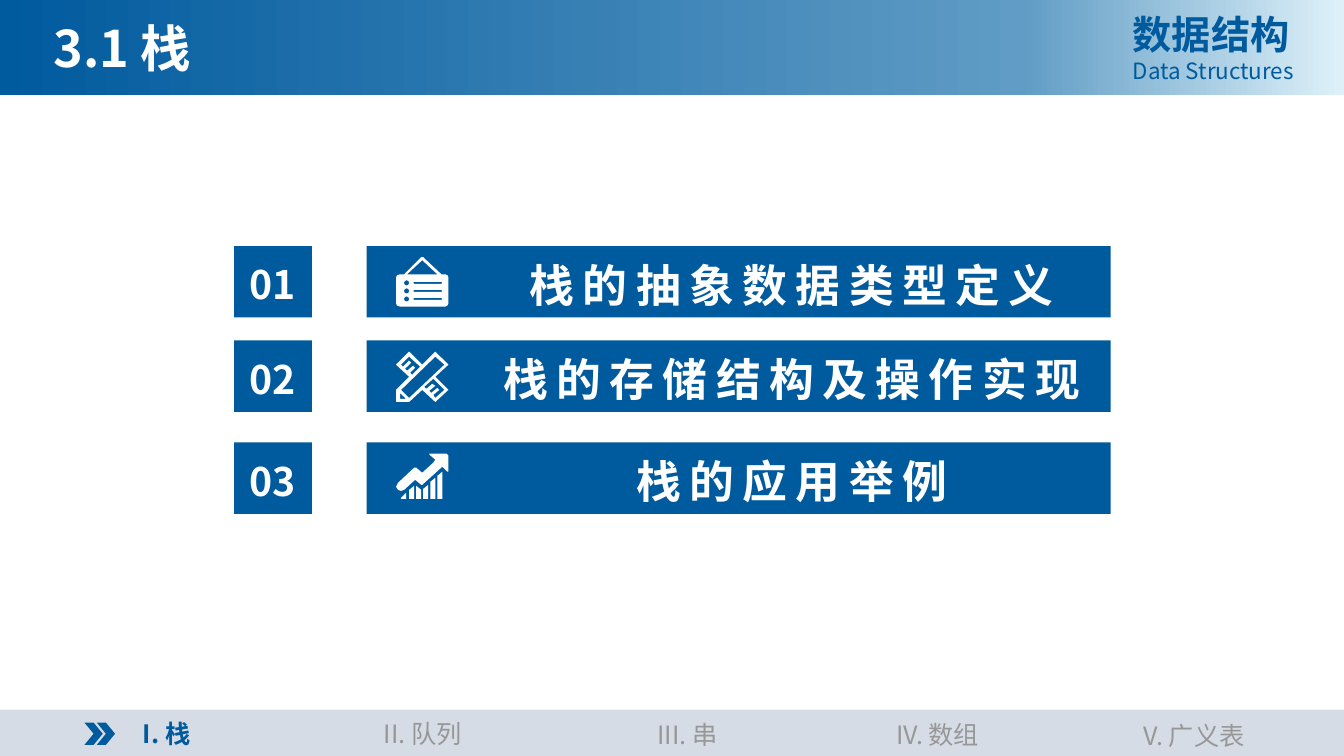
"""Builds the section slide on stacks for a data structures course."""
from copy import deepcopy
from dataclasses import dataclass
from math import cos, pi, sin

from lxml.etree import SubElement
from pptx import Presentation
from pptx.dml.color import RGBColor
from pptx.enum.shapes import MSO_SHAPE as Kind
from pptx.enum.text import MSO_ANCHOR as Anchor, MSO_AUTO_SIZE as Fit, PP_ALIGN as Align
from pptx.oxml.ns import qn
from pptx.util import Cm, Pt


@dataclass(frozen=True)
class Theme:
    font: str = "Noto Sans CJK SC"
    blue: str = "005A9E"
    mid: str = "609CC5"
    pale: str = "DEF1F9"
    bar: str = "D6DCE5"
    grey: str = "979797"
    white: str = "FFFFFF"
    title: int = 36
    item: int = 32
    head: int = 28
    tab: int = 18
    small: int = 16


theme = Theme()


def write(box, lines, color, align, spacing=0):
    """Fill a text box with (text, size, bold) lines."""
    frame = box.text_frame
    frame.word_wrap = True
    frame.auto_size = Fit.SHAPE_TO_FIT_TEXT
    frame.vertical_anchor = Anchor.TOP
    frame.text = "\n".join(text for text, _, _ in lines)
    for para, (_, size, bold) in zip(frame.paragraphs, lines):
        para.alignment = align
        run = para.runs[0]
        run.font.size = Pt(size)
        run.font.bold = bold
        run.font.color.rgb = RGBColor.from_string(color)
        run.font.name = theme.font
        props = run._r.get_or_add_rPr()
        SubElement(props, qn("a:ea")).set("typeface", theme.font)
        if spacing:
            props.set("spc", str(spacing * 100))


def block(shapes, kind, left, top, width, height, color):
    """Add a plain filled shape, measured in centimetres."""
    shape = shapes.add_shape(kind, Cm(left), Cm(top), Cm(width), Cm(height))
    shape.shadow.inherit = False
    shape.fill.solid()
    shape.fill.fore_color.rgb = RGBColor.from_string(color)
    shape.line.fill.background()
    return shape


deck = Presentation()
deck.slide_width, deck.slide_height = Cm(33.87), Cm(19.05)
slide = deck.slides.add_slide(deck.slide_layouts[5])
shapes = slide.shapes

banner = block(shapes, Kind.RECTANGLE, 0, 0, 33.87, 2.39, theme.blue)
banner.fill.gradient()
banner.fill.gradient_angle = 0
stops = banner.fill._fill._gradFill.find(qn("a:gsLst"))
stops.append(deepcopy(stops[-1]))
shades = [(0, theme.blue), (0.76, theme.mid), (1, theme.pale)]
for stop, (place, shade) in zip(banner.fill.gradient_stops, shades):
    stop.position = place
    stop.color.rgb = RGBColor.from_string(shade)

title = shapes.title
title.left, title.top, title.width, title.height = Cm(1.09), Cm(0.3), Cm(8.3), Cm(1.8)
write(title, [("3.1 栈", theme.title, True)], theme.white, Align.LEFT)
banner._element.addnext(title._element)

course = shapes.add_textbox(Cm(28.3), Cm(0.13), Cm(4.85), Cm(2.13))
write(course, [("数据结构", theme.head, True), ("Data Structures", theme.small, False)],
      theme.blue, Align.JUSTIFY)

block(shapes, Kind.RECTANGLE, 0, 17.88, 33.87, 1.17, theme.bar)
tabs = [("I. 栈", 2.13, 17.98, 4.14), ("II. 队列", 7.82, 17.98, 5.66),
        ("III. 串", 15.04, 18.01, 4.57), ("IV. 数组", 21.18, 18.01, 4.9),
        ("V. 广义表", 27.64, 18.03, 4.9)]
for index, (text, left, top, width) in enumerate(tabs):
    tab = shapes.add_textbox(Cm(left), Cm(top), Cm(width), Cm(1.02))
    active = index == 0
    write(tab, [(text, theme.tab, active)], theme.blue if active else theme.grey, Align.CENTER)

marker = shapes.add_group_shape()
for left in (2.44, 2.13):
    block(marker.shapes, Kind.CHEVRON, left, 18.21, 0.46, 0.56, theme.blue)

board = [
    [(49, 17), (45, 17), (27, 0), (25, 0), (8, 17), (4, 17), (1, 18), (0, 20), (0, 46),
     (1, 48), (4, 49), (49, 49), (51, 48), (52, 46), (52, 20), (51, 18)],
    [(26, 3), (41, 17), (11, 17)]]
for mid in (25.5, 33.5, 41.5):
    board.append([(10.5 + 2.5 * cos(k * pi / 8), mid + 2.5 * sin(k * pi / 8))
                  for k in range(16)])
    board.append([(18, mid - 1), (45, mid - 1), (46, mid), (45, mid + 1),
                  (18, mid + 1), (17, mid)])

tools = [
    [(52, 13), (39, 0), (26, 13), (13, 0), (0, 13), (13, 25), (0, 38), (0, 50), (13, 50),
     (26, 38), (39, 50), (52, 38), (39, 25)],
    [(14, 21), (19, 16), (17, 14), (11, 19), (9, 17), (15, 11), (13, 9), (7, 15), (5, 13),
     (13, 5), (24, 15), (16, 23)],
    [(4, 47), (4, 41), (10, 47)],
    [(13, 46), (5, 38), (39, 5), (48, 13)],
    [(48, 38), (39, 46), (37, 43), (43, 38), (41, 36), (35, 41), (33, 39), (39, 34),
     (36, 32), (30, 37), (28, 35), (37, 27)]]

growth = [
    [(33, 0), (50, 0), (52, 2), (52, 18), (51, 18), (46, 13), (26, 31), (25, 31), (19, 26),
     (8, 36), (5, 37), (2, 36), (0, 33), (2, 29), (18, 14), (20, 14), (26, 19), (37, 9),
     (39, 6), (33, 1)]]
for left, start, end in [(5, 44, 39), (13, 36, 32), (20, 32, 36),
                         (27, 35, 31), (34, 28, 24), (41, 22, 18)]:
    growth.append([(left, start), (left + 5, end), (left + 5, 45), (left, 45)])

unit = Cm(2.54) / 100
items = [("栈的抽象数据类型定义", 6.2, board), ("栈的存储结构及操作实现", 8.58, tools),
         ("栈的应用举例", 11.15, growth)]
for index, (text, top, icon) in enumerate(items, 1):
    block(shapes, Kind.RECTANGLE, 5.9, top, 1.96, 1.8, theme.blue)
    block(shapes, Kind.RECTANGLE, 9.24, top, 18.75, 1.8, theme.blue)
    number = shapes.add_textbox(Cm(5.31), Cm(top + 0.24), Cm(3.12), Cm(1.45))
    write(number, [(f"{index:02}", theme.head, True)], theme.white, Align.CENTER)
    label = shapes.add_textbox(Cm(12.27), Cm(top + 0.16), Cm(15.37), Cm(1.63))
    write(label, [(text, theme.item, True)], theme.white, Align.CENTER, 6)

    pen = None
    for ring in icon:
        points = [(x * unit, y * unit) for x, y in ring]
        if pen is None:
            pen = shapes.build_freeform(*points[0])
        else:
            pen.move_to(*points[0])
        pen.add_line_segments(points[1:], close=True)
    sign = pen.convert_to_shape(Cm(9.98), Cm(top + 0.28))
    sign.shadow.inherit = False
    sign.fill.solid()
    sign.fill.fore_color.rgb = RGBColor.from_string(theme.white)
    sign.line.fill.background()

deck.save("out.pptx")
